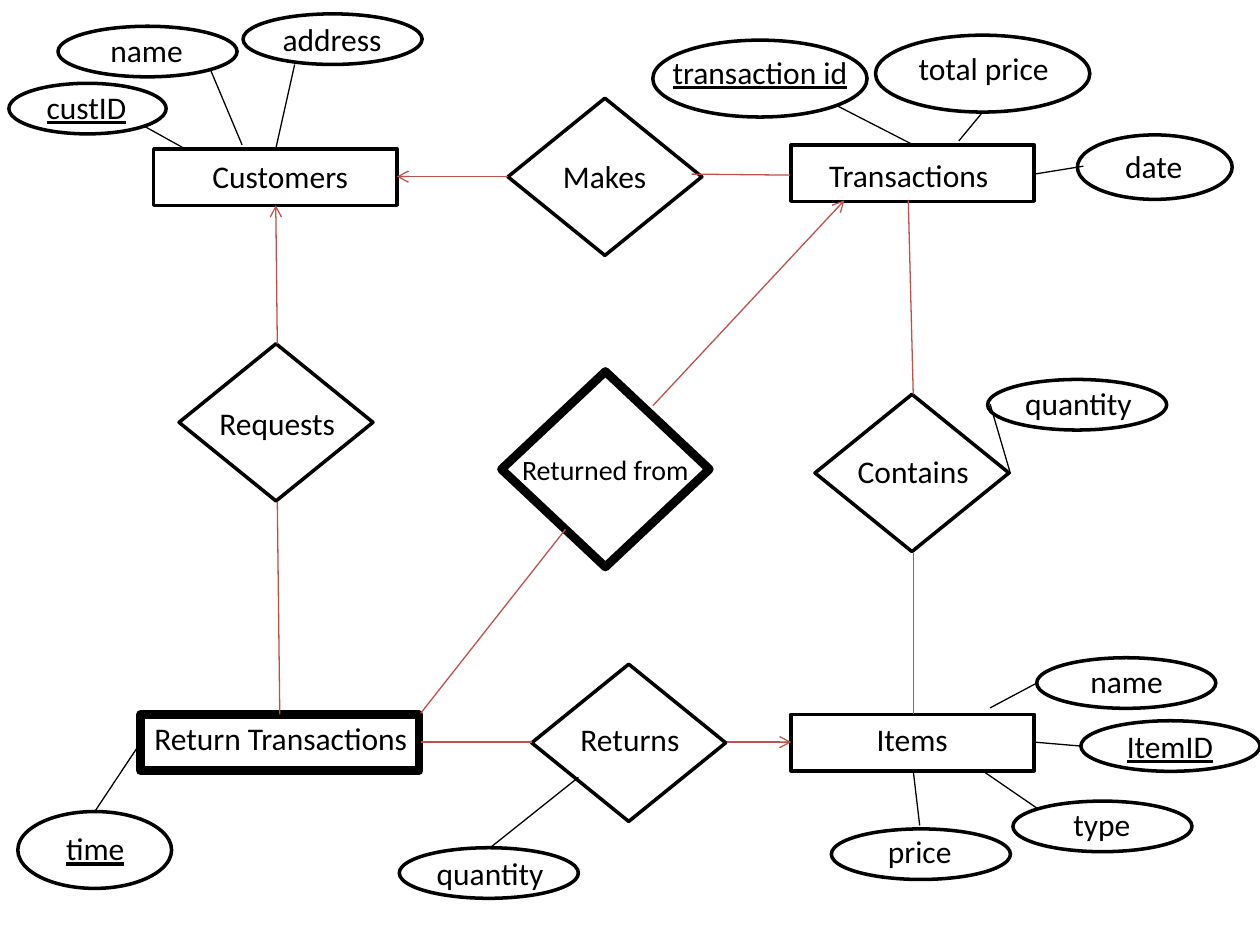
"""Build an entity-relationship diagram of customers, sales and returns."""
from lxml import etree
from pptx import Presentation
from pptx import util as u
from pptx.dml.color import RGBColor
from pptx.enum import shapes, text
from pptx.oxml.ns import qn

HUES = {"ink": "000000", "paper": "FFFFFF", "link": "C0504D"}
KIND = shapes.MSO_SHAPE
CENTER = text.PP_ALIGN.CENTER
OVAL = (1.42, 0.4)
BIG = (1.7, 0.61)
BOX = (1.93, 0.45)
GEM = (1.54, 1.25)

ENTITIES = [
    ("Customers", (1.22, 1.18), BOX, (1.54, 1.2, 1.37), {}),
    ("Transactions", (6.28, 1.15), BOX, (6.27, 1.19, 1.88), {}),
    ("Return Transactions", (1.12, 5.67), (2.21, 0.45), (1.12, 5.66, 2.22), {"bold": 5}),
    ("Items", (6.28, 5.67), BOX, (6.7, 5.67, 1.08), {}),
]
FIELDS = [
    ("custID", (0.07, 0.66), (1.25, 0.4), (0.27, 0.65, 0.86),
     {"key": True, "align": text.PP_ALIGN.LEFT}),
    ("name", (0.46, 0.21), OVAL, (0.73, 0.2, 0.87), {}),
    ("address", (1.93, 0.11), OVAL, (2.11, 0.11, 1.05), {}),
    ("transaction id", (5.18, 0.32), BIG, (5.16, 0.37, 1.74), {"key": True}),
    ("total price", (6.95, 0.28), BIG, (6.88, 0.34, 1.85), {}),
    ("date", (8.55, 1.07), (1.23, 0.51), (8.6, 1.12, 1.12), {}),
    ("quantity", (7.84, 3.01), OVAL, (7.86, 3, 1.4), {}),
    ("time", (0.14, 6.44), (1.22, 0.61), (0.16, 6.53, 1.19), {"key": True}),
    ("quantity", (3.17, 6.73), OVAL, (3.19, 6.73, 1.4), {}),
    ("price", (6.6, 6.58), OVAL, (6.56, 6.55, 1.48), {}),
    ("type", (8.04, 6.36), OVAL, (8.31, 6.34, 0.87), {}),
    ("name", (8.23, 5.22), OVAL, (8.53, 5.21, 0.82), {}),
    ("ItemID", (8.58, 5.72), OVAL, (8.78, 5.72, 1.01), {"key": True}),
]
ACTIONS = [
    ("Contains", (6.47, 3.13), GEM, (6.58, 3.54, 1.34), {}),
    ("Makes", (4.03, 0.78), GEM, (4.13, 1.2, 1.34), {}),
    ("Returned from", (3.98, 2.95), (1.65, 1.55), (3.89, 3.54, 1.83),
     {"bold": 5, "size": 16}),
    ("Requests", (1.42, 2.73), GEM, (1.53, 3.16, 1.34), {}),
    ("Returns", (4.22, 5.27), GEM, (4.33, 5.67, 1.34), {}),
]
STEMS = [
    (1.14, 1, 1.47, 1.18), (1.67, 0.55, 1.92, 1.15), (2.34, 0.51, 2.19, 1.18),
    (7.86, 3.21, 8.02, 3.76), (1.12, 5.89, 0.75, 6.44), (4.59, 6.17, 3.89, 6.73),
    (7.25, 6.12, 7.3, 6.55), (7.8, 6.12, 8.24, 6.42), (8.58, 5.92, 8.21, 5.89),
    (8.23, 5.42, 7.86, 5.62), (7.8, 0.89, 7.61, 1.12), (8.6, 1.32, 8.21, 1.38),
    (7.25, 1.15, 6.64, 0.84),
]
LINKS = [
    (2.2, 3.98, 2.22, 5.67), (3.34, 5.66, 4.49, 4.2), (5.49, 1.38, 6.27, 1.39),
    (7.21, 1.59, 7.25, 3.13), (3.34, 5.89, 4.22, 5.89), (7.25, 4.38, 7.25, 5.67),
]
ARROWS = [
    (2.2, 2.73, 2.19, 1.63), (5.18, 3.22, 6.7, 1.59),
    (4.03, 1.4, 3.15, 1.4), (5.77, 5.89, 6.28, 5.89),
]


def cm(*sides):
    return [u.Cm(round(side * 2.54, 2)) for side in sides]


def hue(name):
    return RGBColor.from_string(HUES[name])


def apply(item, form):
    for name, value in form.items():
        setattr(item, name, value)


def stroke(line, name, width):
    line.color.rgb = hue(name)
    line.width = u.Pt(width)


def label(slide, words, place, key=False, size=18, align=CENTER):
    frame = slide.shapes.add_textbox(*cm(*place, 0.4)).text_frame
    frame.word_wrap = False
    para = frame.paragraphs[0]
    para.alignment = align
    run = para.add_run()
    run.text = words
    apply(run.font, {"name": "Calibri", "size": u.Pt(size), "underline": key})
    run.font.color.rgb = hue("ink")


def node(slide, kind, words, spot, size, place, form):
    shape = slide.shapes.add_shape(kind, *cm(*spot, *size))
    shape.shadow.inherit = False
    shape.fill.solid()
    shape.fill.fore_color.rgb = hue("paper")
    stroke(shape.line, "ink", form.get("bold", 2))
    label(slide, words, place, **{k: v for k, v in form.items() if k != "bold"})


def wire(slide, ends, name, arrow=False):
    line = slide.shapes.add_connector(shapes.MSO_CONNECTOR.STRAIGHT, *cm(*ends))
    stroke(line.line, name, 0.75)
    props = line._element.spPr
    if arrow:
        etree.SubElement(props.find(qn("a:ln")), qn("a:tailEnd"), type="arrow")
    etree.SubElement(props, qn("a:effectLst"))


def main():
    deck = Presentation()
    deck.slide_width, deck.slide_height = cm(10, 7.5)
    slide = deck.slides.add_slide(deck.slide_layouts[6])
    for kind, nodes in ((KIND.RECTANGLE, ENTITIES), (KIND.OVAL, FIELDS),
                        (KIND.DIAMOND, ACTIONS)):
        for row in nodes:
            node(slide, kind, *row)
    for group, name, arrow in ((STEMS, "ink", False), (LINKS, "link", False),
                               (ARROWS, "link", True)):
        for ends in group:
            wire(slide, ends, name, arrow)
    deck.save("out.pptx")


main()
